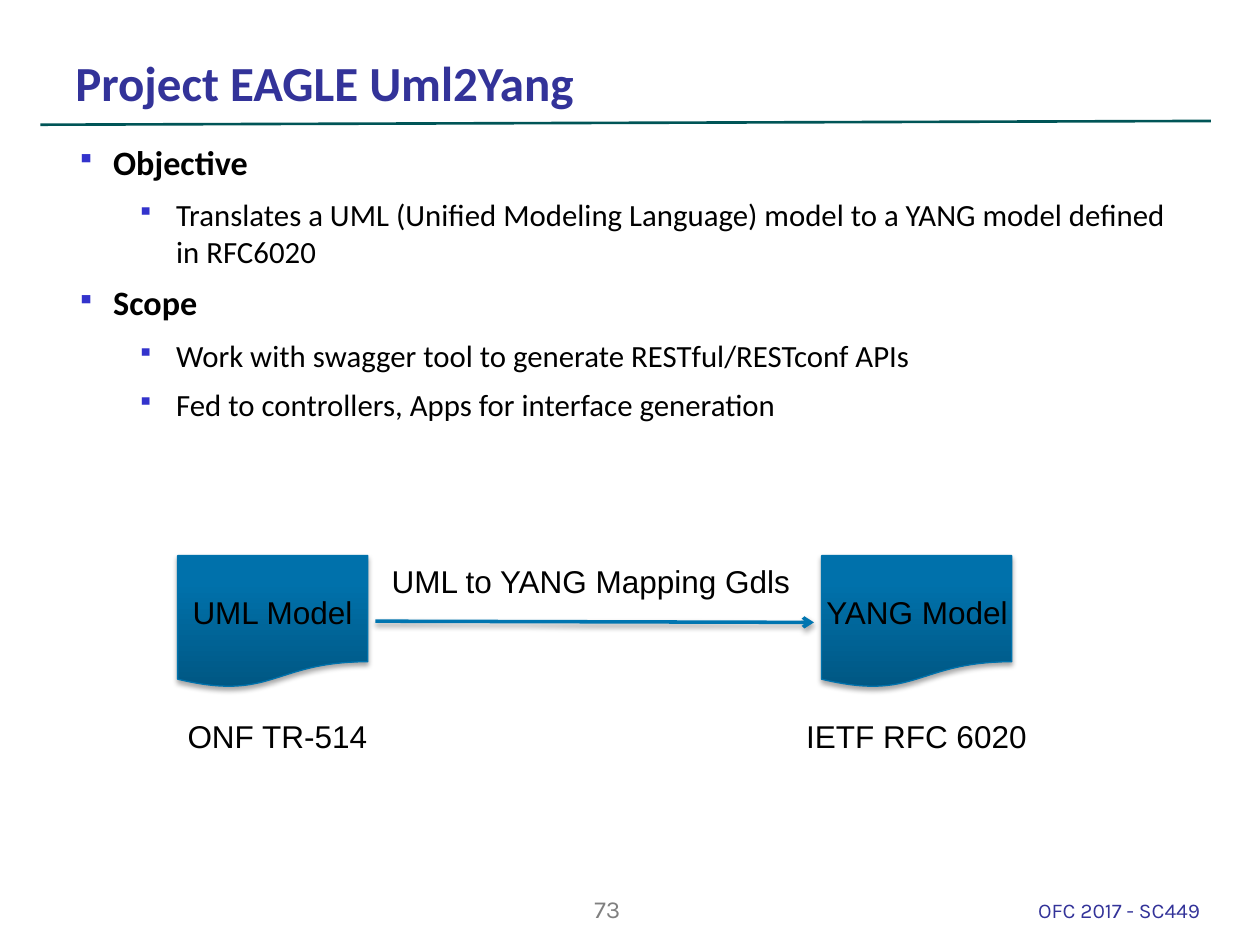
from lxml.etree import SubElement
from pptx import Presentation
from pptx.dml.color import RGBColor
from pptx.enum.shapes import MSO_CONNECTOR, MSO_SHAPE
from pptx.enum.text import MSO_ANCHOR, PP_ALIGN
from pptx.oxml import parse_xml
from pptx.oxml.ns import nsdecls, qn
from pptx.util import Inches, Pt


def color(value):
    return RGBColor.from_string(value)


def add_text(slide, box, text, size, font_name, text_color, bold=False, wrap=True):
    text_box = slide.shapes.add_textbox(*box)
    text_box.text_frame.word_wrap = wrap
    paragraph = text_box.text_frame.paragraphs[0]
    run = paragraph.add_run()
    run.text = text
    run.font.size = Pt(size)
    run.font.name = font_name
    run.font.bold = bold
    run.font.color.rgb = color(text_color)
    return text_box


presentation = Presentation()
presentation.slide_width = Inches(10)
presentation.slide_height = Inches(7.5)
column = presentation.slide_width / 100
row = presentation.slide_height / 75
slide = presentation.slides.add_slide(presentation.slide_layouts[6])

title_rule = slide.shapes.add_connector(
    MSO_CONNECTOR.STRAIGHT, int(3.2 * column), int(9.9 * row), int(96.1 * column), int(9.6 * row))
title_rule.line.color.rgb = color("005557")
title_rule.line.width = Pt(1.5)
SubElement(title_rule._element.spPr, qn("a:effectLst"))

title_box = [int(5 * column), int(3.8 * row), int(90 * column), int(5.5 * row)]
title = add_text(slide, title_box, "Project EAGLE Uml2Yang", 28, "Calibri", "333399", bold=True)
title.text_frame.vertical_anchor = MSO_ANCHOR.BOTTOM

body = slide.shapes.add_textbox(int(5 * column), int(10.7 * row), int(90 * column), int(57.5 * row))
body.text_frame.word_wrap = True
outline = [
    (0, "Objective"),
    (1, "Translates a UML (Unified Modeling Language) model to a YANG model defined in RFC6020"),
    (0, "Scope"),
    (1, "Work with swagger tool to generate RESTful/RESTconf APIs"),
    (1, "Fed to controllers, Apps for interface generation"),
]
level_styles = [(3, 2.9, 19.5, True), (8, 3.1, 17.6, False)]
for index, (level, text) in enumerate(outline):
    margin, hanging, size, bold = level_styles[level]
    paragraph = body.text_frame.paragraphs[0] if index == 0 else body.text_frame.add_paragraph()
    paragraph.level = level
    paragraph.space_after = Pt(round(size * 0.4, 1))
    properties = paragraph._p.get_or_add_pPr()
    properties.set("marL", str(int(margin * column)))
    properties.set("indent", str(int(-hanging * column)))
    bullet_color = SubElement(properties, qn("a:buClr"))
    SubElement(bullet_color, qn("a:srgbClr"), val="3333CC")
    SubElement(properties, qn("a:buSzPct"), val="75000")
    SubElement(properties, qn("a:buChar"), char="▪")
    run = paragraph.add_run()
    run.text = text
    run.font.size = Pt(size)
    run.font.name = "Calibri"
    run.font.bold = bold
    run.font.color.rgb = color("000000")

shadowed_shapes = []
for left in (14.1, 65.2):
    document = slide.shapes.add_shape(
        MSO_SHAPE.FLOWCHART_DOCUMENT,
        int(left * column), int(44.1 * row), int(15.1 * column), int(10.5 * row))
    document.fill.gradient()
    document.fill.gradient_angle = 90
    for stop, (position, stop_color) in zip(
            document.fill.gradient_stops, [(0, "005783"), (0.8, "0071AB")]):
        stop.position = position
        stop.color.rgb = color(stop_color)
    document.line.color.rgb = color("0072AC")
    document.line.width = Pt(0.75)
    shadowed_shapes.append(document)

mapping_arrow = slide.shapes.add_connector(
    MSO_CONNECTOR.STRAIGHT, int(29.8 * column), int(49.3 * row), int(64.6 * column), int(49.4 * row))
mapping_arrow.line.color.rgb = color("0075B0")
mapping_arrow.line.width = Pt(2)
SubElement(mapping_arrow.line._get_or_add_ln(), qn("a:tailEnd"), type="arrow")
shadowed_shapes.append(mapping_arrow)

for shape in shadowed_shapes:
    shape._element.spPr.append(parse_xml(
        f'<a:effectLst {nsdecls("a")}>'
        f'<a:outerShdw blurRad="{Pt(3.1)}" dist="{Pt(1.8)}" dir="5400000" rotWithShape="0">'
        '<a:srgbClr val="000000"><a:alpha val="35000"/></a:srgbClr>'
        '</a:outerShdw></a:effectLst>'))

diagram_labels = [
    ("UML Model", 14.3, 46.6, 14.7),
    ("YANG Model", 64.6, 46.6, 16.4),
    ("UML to YANG Mapping Gdls", 30.1, 44.1, 33.6),
    ("IETF RFC 6020", 63, 56.4, 19.5),
    ("ONF TR-514", 13.9, 56.4, 16.3),
]
for text, left, top, width in diagram_labels:
    label_box = [int(left * column), int(top * row), int(width * column), int(4 * row)]
    add_text(slide, label_box, text, 18, "Arial", "000000", wrap=False)

number_box = [int(43.4 * column), int(70.5 * row), int(9.6 * column), int(4 * row)]
page_number = add_text(slide, number_box, "73", 14, "Karla", "808080")
page_number.text_frame.paragraphs[0].alignment = PP_ALIGN.CENTER

footer_box = [int(81.4 * column), int(70.7 * row), int(18 * column), int(2.8 * row)]
add_text(slide, footer_box, "OFC 2017 - SC449", 12, "Karla", "333399")

presentation.save("out.pptx")
